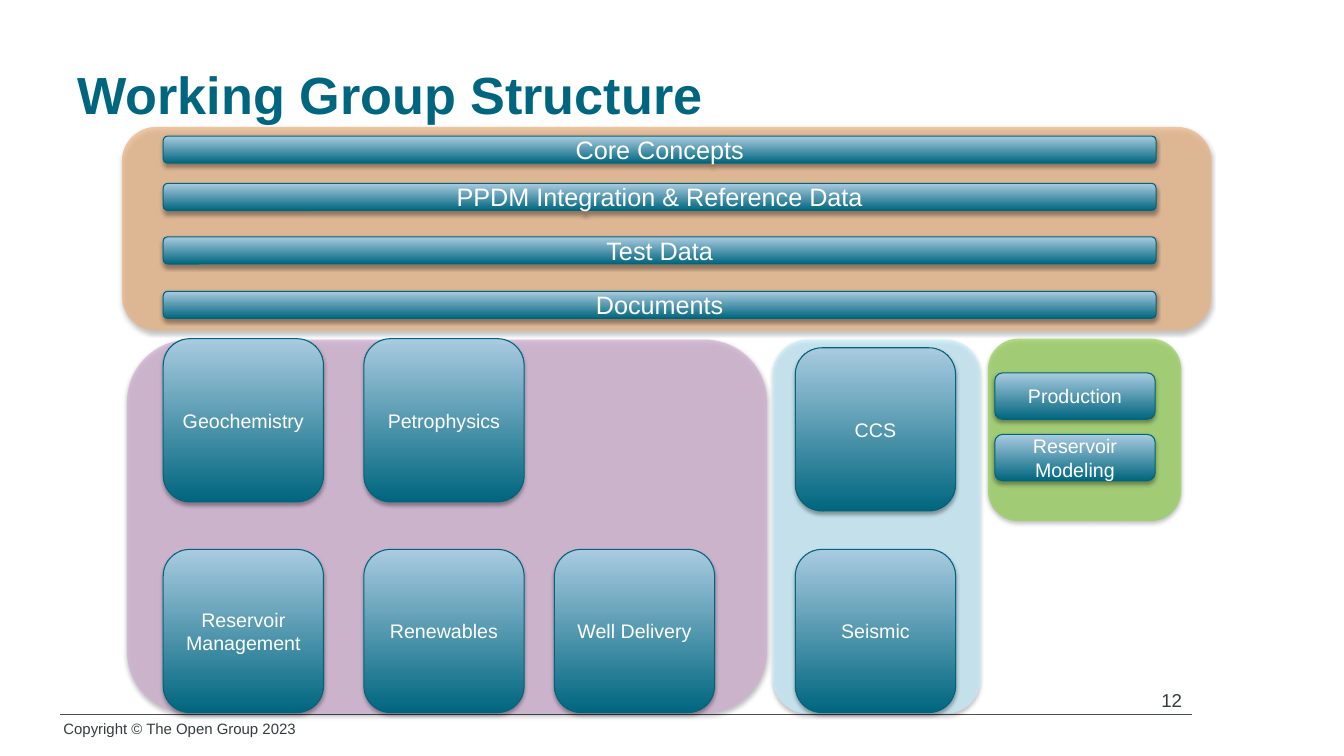
from lxml.etree import SubElement
from pptx import Presentation
from pptx.dml.color import RGBColor
from pptx.enum.shapes import MSO_CONNECTOR, MSO_SHAPE
from pptx.enum.text import MSO_ANCHOR, PP_ALIGN
from pptx.oxml.ns import qn
from pptx.util import Pt

COLORS = {
    "teal": "00667F", "sky": "A9CBE0", "edge": "00647C", "white": "FFFFFF",
    "text": "353C3E", "rule": "465052", "pale_rule": "C3C2C2", "shadow": "000000",
    "orange": "EBB17E", "purple": "D0ADD2", "ice": "C5F0FF", "green": "92D050",
}


def color(name):
    return RGBColor.from_string(COLORS[name])


def write(frame, text, size=14, ink="white", bold=False,
          align=PP_ALIGN.CENTER, anchor=MSO_ANCHOR.MIDDLE):
    frame.word_wrap = True
    frame.vertical_anchor = anchor
    paragraph = frame.paragraphs[0]
    paragraph.text = text
    paragraph.alignment = align
    paragraph.font.name = "Arial"
    paragraph.font.size = Pt(size)
    paragraph.font.bold = bold
    paragraph.font.color.rgb = color(ink)


class SlideBuilder:
    def __init__(self, slide, font_size=14):
        self.slide = slide
        self.font_size = font_size

    def title(self, text, left, top, width, height):
        shape = self.slide.shapes.title
        shape.left, shape.top = Pt(left), Pt(top)
        shape.width, shape.height = Pt(width), Pt(height)
        write(shape.text_frame, text, size=37.3, ink="teal", bold=True,
              align=PP_ALIGN.LEFT)

    def rounded(self, left, top, width, height):
        shape = self.slide.shapes.add_shape(
            MSO_SHAPE.ROUNDED_RECTANGLE, Pt(left), Pt(top), Pt(width), Pt(height))
        shape.shadow.inherit = False
        effects = shape.element.spPr.find(qn("a:effectLst"))
        shadow = SubElement(effects, qn("a:outerShdw"), blurRad=str(Pt(3.1)),
                            dist=str(Pt(1.8)), dir="5400000", rotWithShape="0")
        shade = SubElement(shadow, qn("a:srgbClr"), val=COLORS["shadow"])
        SubElement(shade, qn("a:alpha"), val="35000")
        return shape

    def panel(self, fill, left, top, width, height):
        shape = self.rounded(left, top, width, height)
        shape.fill.solid()
        shape.fill.fore_color.rgb = color(fill)
        solid = shape.element.spPr.find(qn("a:solidFill"))
        SubElement(solid[0], qn("a:alpha"), val="68000")
        shape.line.fill.background()

    def group(self, text, left, top, width, height, size=None):
        shape = self.rounded(left, top, width, height)
        shape.fill.gradient()
        shape.fill.gradient_angle = 90
        for stop, name, position in zip(shape.fill.gradient_stops,
                                        ("teal", "sky"), (0, 1)):
            stop.color.rgb = color(name)
            stop.position = position
        shape.line.color.rgb = color("edge")
        shape.line.width = Pt(0.75)
        write(shape.text_frame, text, size=size or self.font_size)

    def label(self, text, left, top, width, height, **style):
        box = self.slide.shapes.add_textbox(Pt(left), Pt(top), Pt(width), Pt(height))
        write(box.text_frame, text, ink="text", anchor=MSO_ANCHOR.TOP, **style)

    def rule(self, ink, weight, left, right, top):
        line = self.slide.shapes.add_connector(
            MSO_CONNECTOR.STRAIGHT, Pt(left), Pt(top), Pt(right), Pt(top))
        line.line.color.rgb = color(ink)
        line.line.width = Pt(weight)
        SubElement(line.element.spPr, qn("a:effectLst"))


def main():
    presentation = Presentation()
    presentation.slide_width, presentation.slide_height = Pt(960), Pt(540)
    slide = presentation.slides.add_slide(presentation.slide_layouts[5])
    builder = SlideBuilder(slide)

    # Title and footer
    builder.title("Working Group Structure", 48, 21.6, 864, 90)
    builder.rule("pale_rule", 0.75, 43.2, 851.8, 510.5)
    builder.label("Copyright © The Open Group 2023", 38.2, 510.5, 254.2, 20.2,
                  size=10.7, align=PP_ALIGN.LEFT)
    builder.rule("rule", 0.5, 43.2, 851.8, 510.5)

    # Background panels
    for fill, *bounds in (
        ("orange", 87.1, 90.7, 778.3, 145.4),
        ("purple", 90.7, 242.6, 457.2, 267.1),
        ("ice", 552.2, 242.6, 148.3, 267.1),
        ("green", 705.6, 241.9, 138.2, 130.3),
    ):
        builder.panel(fill, *bounds)
    builder.label("12", 725, 488.2, 223.9, 28.8, size=13.3)

    # Groups that span all areas
    columns = (116.6, 259.9, 396, 568.1, 710.6)
    for text, top in (
        ("Core Concepts", 97.2),
        ("PPDM Integration & Reference Data", 131),
        ("Test Data", 169.2),
        ("Documents", 208.1),
    ):
        builder.group(text, columns[0], top, 709.2, 19.4, size=18)

    # Subject groups: text, column, top, height
    upper, lower, tile, bar = 241.9, 392.4, 116.6, 33.1
    for text, column, top, height in (
        ("Geochemistry", 0, upper, tile),
        ("Petrophysics", 1, upper, tile),
        ("CCS", 3, 248.4, tile),
        ("Reservoir Management", 0, lower, tile),
        ("Renewables", 1, lower, tile),
        ("Well Delivery", 2, lower, tile),
        ("Seismic", 3, lower, tile),
        ("Production", 4, 266.4, bar),
        ("Reservoir Modeling", 4, 310.3, bar),
    ):
        builder.group(text, columns[column], top, 114.5, height)

    presentation.save("out.pptx")


if __name__ == "__main__":
    main()
